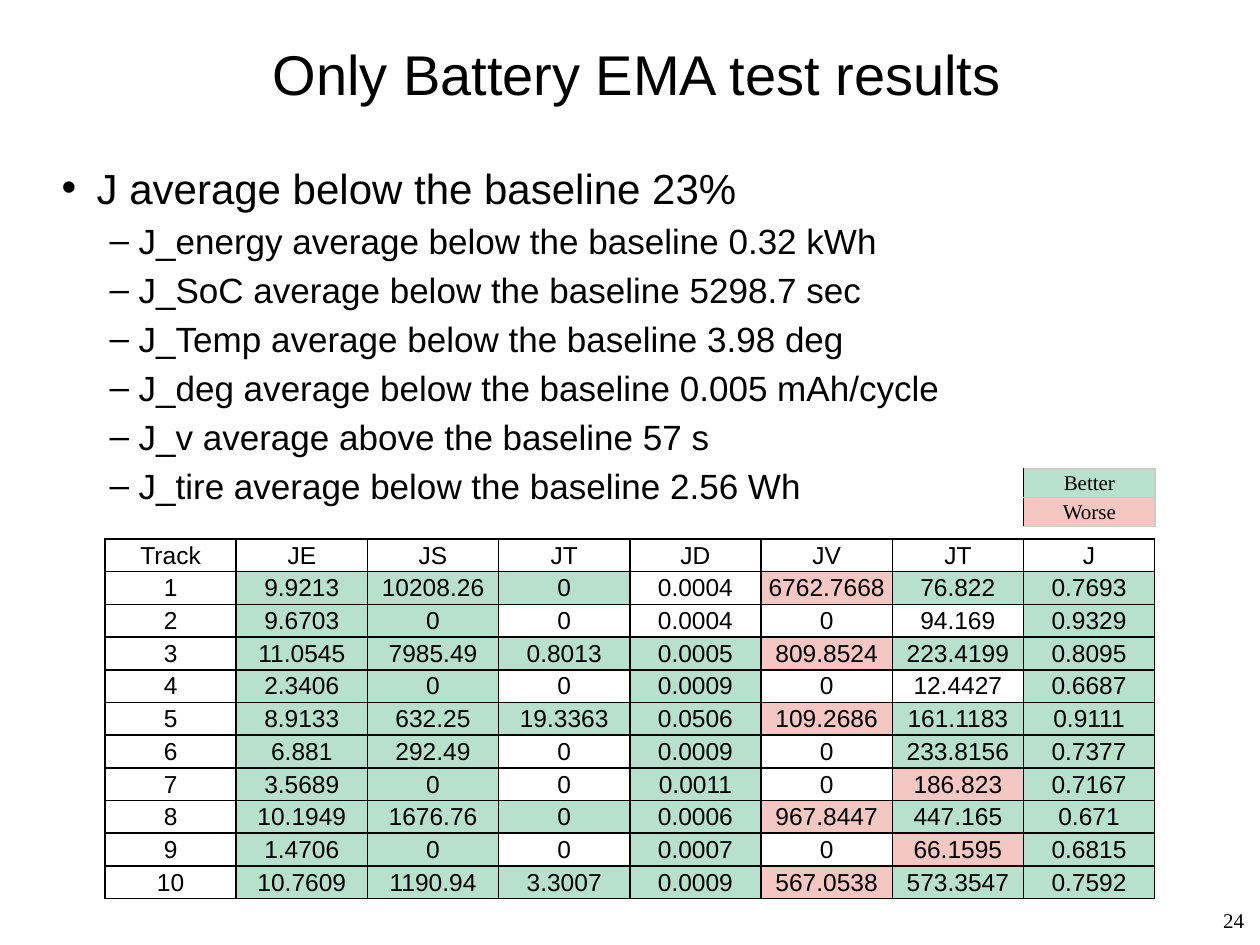
import lxml.etree
import pptx
import pptx.dml.color
import pptx.enum.text
import pptx.oxml.ns
import pptx.util

RGBColor = pptx.dml.color.RGBColor
Pt = pptx.util.Pt
ALIGN = pptx.enum.text.PP_ALIGN
ANCHOR = pptx.enum.text.MSO_ANCHOR
NO_FIT = pptx.enum.text.MSO_AUTO_SIZE.NONE

BLACK = RGBColor(0x00, 0x00, 0x00)
GRAY = RGBColor(0xCC, 0xCC, 0xCC)
GREEN = RGBColor(0xB7, 0xE1, 0xCD)
PINK = RGBColor(0xF4, 0xC7, 0xC3)
FILLS = {"+": GREEN, "-": PINK}

BULLETS = [
    (0, "J average below the baseline 23%"),
    (1, "J_energy average below the baseline 0.32 kWh"),
    (1, "J_SoC average below the baseline 5298.7 sec"),
    (1, "J_Temp average below the baseline 3.98 deg"),
    (1, "J_deg average below the baseline 0.005 mAh/cycle"),
    (1, "J_v average above the baseline 57 s"),
    (1, "J_tire average below the baseline 2.56 Wh"),
]

RESULTS = [
    ("........", "Track JE JS JT JD JV JT J"),
    (".+++.-++", "1 9.9213 10208.26 0 0.0004 6762.7668 76.822 0.7693"),
    (".++....+", "2 9.6703 0 0 0.0004 0 94.169 0.9329"),
    (".++++-++", "3 11.0545 7985.49 0.8013 0.0005 809.8524 223.4199 0.8095"),
    (".++.+..+", "4 2.3406 0 0 0.0009 0 12.4427 0.6687"),
    (".++++-++", "5 8.9133 632.25 19.3363 0.0506 109.2686 161.1183 0.9111"),
    (".++.+.++", "6 6.881 292.49 0 0.0009 0 233.8156 0.7377"),
    (".++.+.-+", "7 3.5689 0 0 0.0011 0 186.823 0.7167"),
    (".++++-++", "8 10.1949 1676.76 0 0.0006 967.8447 447.165 0.671"),
    (".++.+.-+", "9 1.4706 0 0 0.0007 0 66.1595 0.6815"),
    (".++++-++", "10 10.7609 1190.94 3.3007 0.0009 567.0538 573.3547 0.7592"),
]

LEGEND = [("+", "Better"), ("-", "Worse")]


def apply(target, values):
    for name, value in values.items():
        setattr(target, name, value)


class SlideBuilder:
    frame_format = {"word_wrap": True, "auto_size": NO_FIT}
    cell_format = {
        "margin_left": Pt(2), "margin_right": Pt(2),
        "margin_top": Pt(1.3), "margin_bottom": Pt(1.3),
        "vertical_anchor": ANCHOR.BOTTOM,
    }
    levels = [
        {"size": 24, "indent": 20, "hanging": 20},
        {"size": 20, "indent": 44, "hanging": 16.5},
    ]

    def __init__(self, presentation):
        self.slide = presentation.slides.add_slide(presentation.slide_layouts[1])

    def place(self, shape, left, top, width, height):
        apply(shape, {"left": Pt(left), "top": Pt(top),
                      "width": Pt(width), "height": Pt(height)})

    def fill_paragraph(self, paragraph, text, size, font="Arial", alignment=None):
        paragraph.text = text
        paragraph.alignment = alignment
        apply(paragraph.font, {"size": Pt(size), "name": font})
        paragraph.font.color.rgb = BLACK

    def title(self, text, box):
        shape = self.slide.shapes.title
        self.place(shape, *box)
        apply(shape.text_frame, {**self.frame_format, "vertical_anchor": ANCHOR.MIDDLE})
        self.fill_paragraph(shape.text_frame.paragraphs[0], text, 32,
                            alignment=ALIGN.CENTER)

    def bullets(self, items, box):
        shape = self.slide.placeholders[1]
        self.place(shape, *box)
        frame = shape.text_frame
        apply(frame, self.frame_format)
        for index, (level, text) in enumerate(items):
            paragraph = frame.add_paragraph() if index else frame.paragraphs[0]
            style = self.levels[level]
            self.fill_paragraph(paragraph, text, style["size"])
            paragraph.level = level
            properties = paragraph._p.get_or_add_pPr()
            properties.set("marL", str(Pt(style["indent"])))
            properties.set("indent", str(-Pt(style["hanging"])))

    def page_number(self, text, box):
        frame = self.slide.shapes.add_textbox(*map(Pt, box)).text_frame
        apply(frame, {**self.frame_format, "vertical_anchor": ANCHOR.MIDDLE})
        self.fill_paragraph(frame.paragraphs[0], text, 12, "Times New Roman", ALIGN.RIGHT)

    def borders(self, cell, colors, width):
        properties = cell._tc.get_or_add_tcPr()
        for side, color in zip("LRTB", colors):
            line = lxml.etree.SubElement(
                properties, pptx.oxml.ns.qn(f"a:ln{side}"), w=str(Pt(width)))
            fill = lxml.etree.SubElement(line, pptx.oxml.ns.qn("a:solidFill"))
            lxml.etree.SubElement(fill, pptx.oxml.ns.qn("a:srgbClr"), val=str(color))

    def table(self, rows, left, top, column_width, row_height,
              size, font, border_colors, border_width):
        column_count = len(rows[0][0])
        shape = self.slide.shapes.add_table(
            len(rows), column_count, Pt(left), Pt(top),
            Pt(column_width * column_count), Pt(row_height * len(rows)))
        table = shape.table
        apply(table, {"first_row": False, "horz_banding": False})
        for column in table.columns:
            column.width = Pt(column_width)
        for row, (marks, values) in zip(table.rows, rows):
            row.height = Pt(row_height)
            for cell, mark, value in zip(row.cells, marks, values.split()):
                apply(cell, self.cell_format)
                self.fill_paragraph(cell.text_frame.paragraphs[0], value, size, font,
                                    ALIGN.CENTER)
                self.borders(cell, border_colors, border_width)
                if mark in FILLS:
                    cell.fill.solid()
                    cell.fill.fore_color.rgb = FILLS[mark]
                else:
                    cell.fill.background()


def main():
    presentation = pptx.Presentation()
    apply(presentation, {"slide_width": Pt(720), "slide_height": Pt(540)})
    builder = SlideBuilder(presentation)
    builder.title("Only Battery EMA test results", (82, 9, 564, 65))
    builder.page_number("24", (675, 511, 43, 29))
    builder.bullets(BULLETS, (28, 89, 664, 209))
    builder.table(RESULTS, 60, 308, 75, 18.7, 14, "Arial", [BLACK] * 4, 1)
    builder.table(LEGEND, 585, 268, 75, 16.4, 12, "Times New Roman",
                  [BLACK, GRAY, GRAY, GRAY], 0.75)
    presentation.save("out.pptx")


if __name__ == "__main__":
    main()
